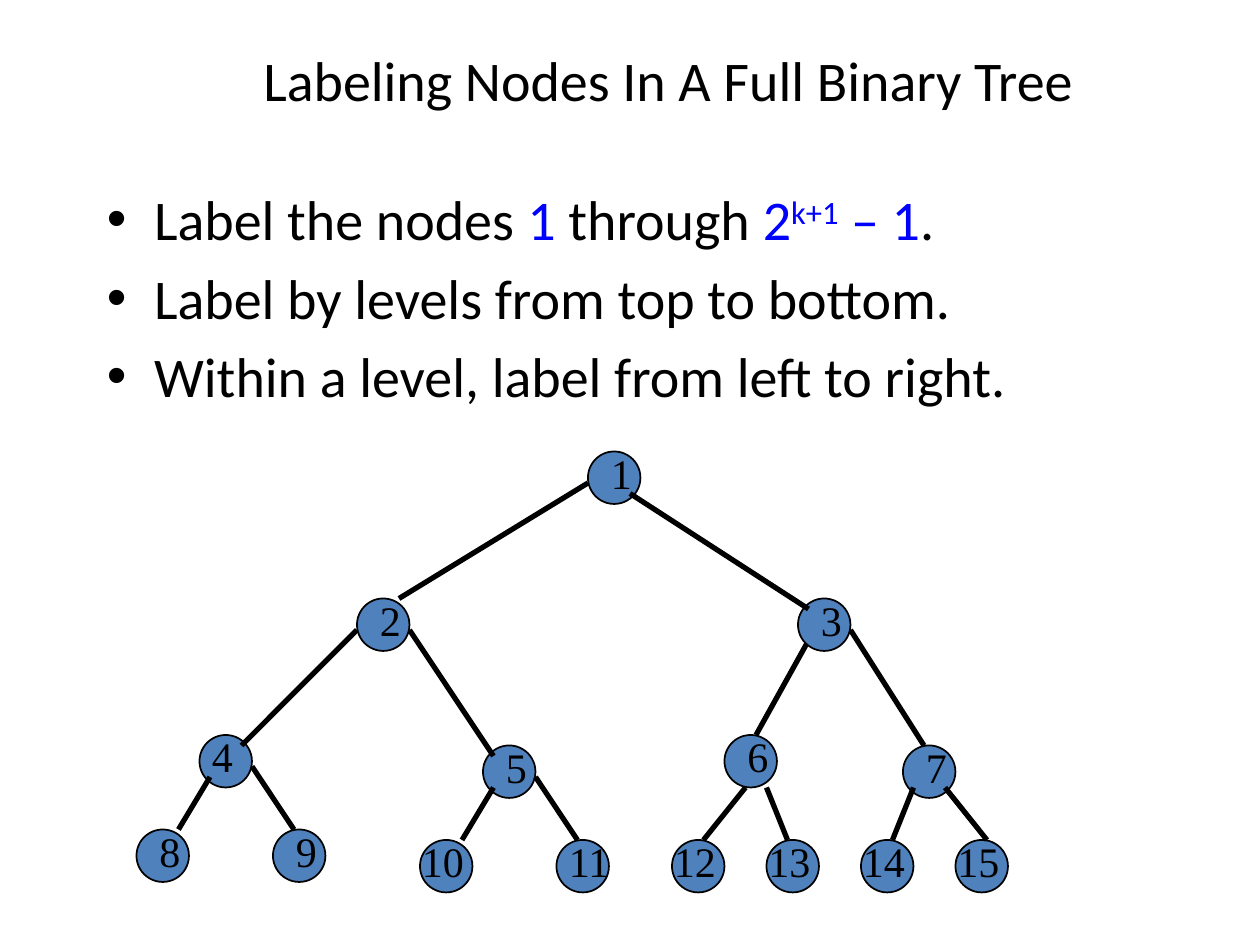
from lxml import etree
from pptx import Presentation
from pptx.dml.color import RGBColor
from pptx.enum.shapes import MSO_CONNECTOR, MSO_SHAPE
from pptx.enum.text import MSO_ANCHOR, MSO_AUTO_SIZE, PP_ALIGN
from pptx.oxml.ns import qn
from pptx.util import Cm, Pt

OVAL, LINE = MSO_SHAPE.OVAL, MSO_CONNECTOR.STRAIGHT
MIDDLE, TOP = MSO_ANCHOR.MIDDLE, MSO_ANCHOR.TOP
CENTER, LEFT = PP_ALIGN.CENTER, PP_ALIGN.LEFT
FIXED, GROW = MSO_AUTO_SIZE.NONE, MSO_AUTO_SIZE.SHAPE_TO_FIT_TEXT

BLACK, BLUE, FILL = "000000", "0000FF", "4F81BD"
HEAD = {"name": "Calibri", "size": Pt(32)}
NUM = {"name": "Times New Roman", "size": Pt(24)}

# Content: each run is (text, colour, raised)
TITLE = "Labeling Nodes In A Full Binary Tree"
POINTS = [
    [("Label the nodes ", BLACK, False), ("1", BLUE, False),
     (" through ", BLACK, False), ("2", BLUE, False), ("k+1", BLUE, True),
     (" – 1", BLUE, False), (".", BLACK, False)],
    [("Label by levels from top to bottom.", BLACK, False)],
    [("Within a level, label from left to right.", BLACK, False)],
]

# Tree on a grid of 12 units to the inch: label -> left, top of the node
NODES = {
    1: (56, 43), 2: (34, 57), 3: (76, 57),
    4: (19, 70), 5: (46, 71), 6: (69, 70), 7: (86, 71),
    8: (13, 79), 9: (26, 79), 10: (40, 80), 11: (53, 80),
    12: (64, 80), 13: (73, 80), 14: (82, 80), 15: (91, 80),
}
# Child label -> start and end of the edge from its parent
EDGES = {
    2: (56, 46, 38, 57), 3: (60, 47, 77, 58),
    4: (34, 60, 23, 71), 5: (39, 60, 47, 72),
    6: (77, 61, 72, 70), 7: (81, 60, 88, 71),
    8: (20, 74, 17, 79), 9: (24, 73, 28, 79),
    10: (47, 75, 44, 80), 11: (51, 74, 55, 80),
    12: (71, 75, 67, 80), 13: (73, 75, 75, 80),
    14: (87, 75, 85, 80), 15: (90, 75, 94, 80),
}
LAYERS = [range(4, 8), range(1, 4), range(8, 16)]  # back to front
NUDGE = {4: -1, 11: 1}  # labels set off from the usual place
NODE = 5


def grid(*vals):
    return [Cm(2.54 * v / 12) for v in vals]


def rgb(code):
    return RGBColor.from_string(code)


def style(item, form):
    for key, val in form.items():
        setattr(item, key, val)


def write(para, text, form, color=BLACK, raised=False):
    run = para.add_run()
    run.text = text
    style(run.font, form)
    run.font.color.rgb = rgb(color)
    if raised:
        run.font._element.set("baseline", "30000")


def place(shape, left, top, width, height):
    style(shape, {"left": Cm(left), "top": Cm(top),
                  "width": Cm(width), "height": Cm(height)})


def add_node(shapes, num):
    node = shapes.add_shape(OVAL, *grid(*NODES[num], NODE, NODE))
    node.shadow.inherit = False
    node.fill.solid()
    node.fill.fore_color.rgb = rgb(FILL)
    node.line.color.rgb = rgb(BLACK)
    node.line.width = Pt(1)


def add_edge(shapes, num):
    edge = shapes.add_connector(LINE, *grid(*EDGES[num]))
    edge.line.color.rgb = rgb(BLACK)
    edge.line.width = Pt(3)
    etree.SubElement(edge._element.spPr, qn("a:effectLst"))


def add_label(shapes, num):
    left, top = NODES[num]
    shift, width = (1, 4) if num < 10 else (-1, 8)
    left += shift + NUDGE.get(num, 0)
    frame = shapes.add_textbox(*grid(left, top - 1, width, 6)).text_frame
    style(frame, {"word_wrap": True, "auto_size": GROW})
    write(frame.paragraphs[0], str(num), NUM)


def main():
    deck = Presentation()
    deck.slide_width, deck.slide_height = Cm(25.4), Cm(19.05)
    slide = deck.slides.add_slide(deck.slide_layouts[1])
    shapes = slide.shapes

    # Title
    title = shapes.title
    place(title, 1.63, 0, 23.7, 3.18)
    style(title.text_frame, {"vertical_anchor": MIDDLE, "auto_size": FIXED})
    para = title.text_frame.paragraphs[0]
    para.alignment = CENTER
    write(para, TITLE, HEAD)

    # Bullet list
    body = slide.placeholders[1]
    place(body, 1.9, 3.6, 21.6, 5.08)
    frame = body.text_frame
    style(frame, {"vertical_anchor": TOP, "auto_size": FIXED})
    for i, runs in enumerate(POINTS):
        para = frame.add_paragraph() if i else frame.paragraphs[0]
        style(para, {"alignment": LEFT, "space_before": Pt(6.4 if i else 0)})
        for text, color, raised in runs:
            write(para, text, HEAD, color, raised)

    # Tree: nodes and edges by layer, then labels on top
    for layer in LAYERS:
        for num in layer:
            add_node(shapes, num)
        for num in layer:
            if num in EDGES:
                add_edge(shapes, num)
    for num in NODES:
        add_label(shapes, num)

    deck.save("out.pptx")


if __name__ == "__main__":
    main()
